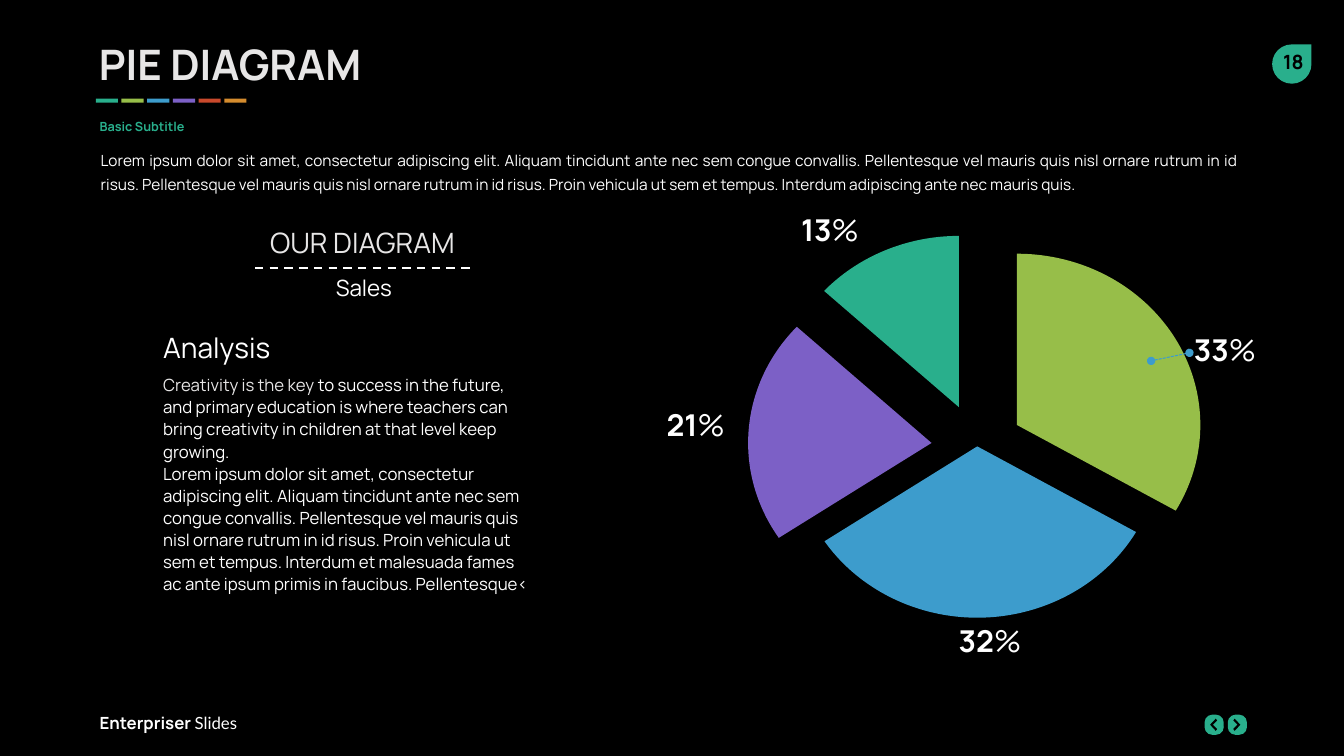
from pptx import Presentation
from pptx.chart.data import CategoryChartData
from pptx.dml.color import RGBColor
from pptx.enum.chart import XL_CHART_TYPE
from pptx.enum.dml import MSO_LINE
from pptx.enum.shapes import MSO_CONNECTOR, MSO_SHAPE
from pptx.enum.text import MSO_ANCHOR, MSO_AUTO_SIZE, PP_ALIGN
from pptx.oxml import parse_xml
from pptx.oxml.ns import nsdecls, qn
from pptx.oxml.xmlchemy import OxmlElement
from pptx.util import Inches, Pt

CELL = Inches(0.1)
WIDE, HIGH = 133.33, 75
FONT = "Manrope"
WHITE, PALE, BLACK = "FFFFFF", "E7E6E6", "000000"
TEAL, LIME, BLUE, PLUM, RUST, GOLD = (
    "29AF8C", "97BE49", "3D9CCC", "7C60C6", "C9492C", "D58C2E")


def tint(code):
    return RGBColor.from_string(code)


def place(box, x, y, w, h):
    return [int(n * CELL) for n in (box[0] + x, box[1] + y, w, h)]


def paint(shape, code):
    shape.shadow.inherit = False
    shape.fill.solid()
    shape.fill.fore_color.rgb = tint(code)
    shape.line.fill.background()
    return shape


def add_run(para, text, size, code=WHITE, bold=False, font=FONT):
    run = para.add_run()
    run.text = text
    run.font.size = Pt(size)
    run.font.name = font
    run.font.bold = bold
    run.font.color.rgb = tint(code)


def set_text(shape, paras, align=PP_ALIGN.LEFT, lead=1, wrap=True):
    frame = shape.text_frame
    frame.word_wrap = wrap
    frame.auto_size = MSO_AUTO_SIZE.SHAPE_TO_FIT_TEXT
    frame.vertical_anchor = MSO_ANCHOR.TOP
    for i, runs in enumerate(paras):
        para = frame.add_paragraph() if i else frame.paragraphs[0]
        para.alignment = align
        para.line_spacing = lead
        for run in runs:
            add_run(para, *run)
    return frame


def add_text(slide, spot, paras, **look):
    return set_text(slide.shapes.add_textbox(*spot), paras, **look)


def add_line(slide, box, start, end, code, width, dash):
    ends = place(box, *start, 0, 0)[:2] + place(box, *end, 0, 0)[:2]
    line = slide.shapes.add_connector(MSO_CONNECTOR.STRAIGHT, *ends)
    line.line.color.rgb = tint(code)
    line.line.width = Pt(width)
    line.line.dash_style = dash
    line._element.spPr.append(OxmlElement("a:effectLst"))
    return line


def draw_head(slide, box):
    title = slide.shapes.title
    title.left, title.top, title.width, title.height = place(box, 0, 0, 49, 6.1)
    set_text(title, [[("PIE DIAGRAM", 30, PALE, True)]])
    for i, code in enumerate((TEAL, LIME, BLUE, PLUM, RUST, GOLD)):
        spot = place(box, 0.7 + 2.55 * i, 6.5, 2.2, 0.4)
        paint(slide.shapes.add_shape(MSO_SHAPE.RECTANGLE, *spot), code)
    add_text(slide, place(box, 0.1, 8, 41.5, 2.5),
             [[("Basic Subtitle", 9, TEAL, True)]])
    add_text(slide, place(box, 0.2, 10.6, 114.9, 5.8), [[(
        "Lorem ipsum dolor sit amet, consectetur adipiscing elit. Aliquam "
        "tincidunt ante nec sem congue convallis. Pellentesque vel mauris quis "
        "nisl ornare rutrum in id risus. Pellentesque vel mauris quis nisl "
        "ornare rutrum in id risus. Proin vehicula ut sem et tempus. Interdum "
        "adipiscing ante nec mauris quis.", 11)]],
        align=PP_ALIGN.JUSTIFY, lead=1.3)


def draw_badge(slide, box):
    drop = slide.shapes.add_shape(MSO_SHAPE.TEAR, *place(box, 0.3, 0, 3.9, 3.9))
    paint(drop, TEAL)
    add_text(slide, place(box, 0, 0.1, 4.8, 3.4), [[("18", 14, BLACK, True)]],
             align=PP_ALIGN.CENTER, wrap=False)


def draw_story(slide, box):
    add_text(slide, place(box, 0, 0, 41.5, 4.4),
             [[("OUR DIAGRAM", 20, PALE)]], align=PP_ALIGN.CENTER)
    add_line(slide, box, (10.1, 4.7), (31.8, 4.7), WHITE, 1.5, MSO_LINE.DASH)
    add_text(slide, place(box, 0.7, 4.8, 40.4, 3.7),
             [[("Sales", 16)]], align=PP_ALIGN.CENTER)
    add_text(slide, place(box, 0, 10.4, 41.5, 4.4), [[("Analysis", 20)]])
    add_text(slide, place(box, 0, 14.6, 38.8, 21), [
        [("Creativity is the key ", 12, PALE),
         ("to success in the future, and primary education is where teachers "
          "can bring creativity in children at that level keep growing.", 12)],
        [("Lorem ipsum dolor sit amet, consectetur adipiscing elit. Aliquam "
          "tincidunt ante nec sem congue convallis. Pellentesque vel mauris "
          "quis nisl ornare rutrum in id risus. Proin vehicula ut sem et "
          "tempus. Interdum et malesuada fames ac ante ipsum primis in "
          "faucibus. Pellentesque‹", 12)]], lead=1.1)


def burst(plot, depth):
    for point in plot.series[0]._element.findall(qn("c:dPt")):
        gap = OxmlElement("c:explosion")
        gap.set("val", str(depth[int(point.find(qn("c:idx")).get("val"))]))
        point.find(qn("c:spPr")).addprevious(gap)


def set_area(chart, share):
    rows = "".join(f'<c:{k} val="{v}"/>' for k, v in share.items())
    area = chart._chartSpace.chart.plotArea
    for old in area.findall(qn("c:layout")):
        area.remove(old)
    area.insert(0, parse_xml(
        f'<c:layout {nsdecls("c")}><c:manualLayout><c:layoutTarget val="inner"/>'
        f'<c:xMode val="edge"/><c:yMode val="edge"/>{rows}'
        '</c:manualLayout></c:layout>'))


def draw_pie(slide, box):
    values = (33, 32, 21, 13)
    data = CategoryChartData()
    data.categories = ["1", "2", "3", "4"]
    data.add_series("Series 1", values)
    spot = place(box, 0, 0, *box[2:])
    chart = slide.shapes.add_chart(XL_CHART_TYPE.PIE, *spot, data).chart
    chart.has_legend = chart.has_title = False
    chart.font.size = Pt(18)
    chart.font.name = "Calibri"
    chart.font.color.rgb = tint(WHITE)
    plot = chart.plots[0]
    plot.vary_by_categories = False
    for i, code in enumerate((LIME, BLUE, PLUM, TEAL)):
        look = plot.series[0].points[i].format
        look.fill.solid()
        look.fill.fore_color.rgb = tint(code)
        look.line.fill.background()
    burst(plot, (25, 0, 25, 25))
    set_area(chart, {"x": 0.19, "y": 0.035, "w": 0.62, "h": 0.93})

    lead = add_line(slide, box, (50.4, 11.6), (46.6, 12.4), BLUE, 0.75,
                    MSO_LINE.SQUARE_DOT)
    stroke = lead.line._get_or_add_ln()
    for end in ("a:headEnd", "a:tailEnd"):
        tip = OxmlElement(end)
        tip.set("type", "oval")
        stroke.append(tip)

    spots = ((48.6, 8.7), (25.3, 37.6), (-4.1, 16.2), (9.2, -3.2))
    for value, (x, y) in zip(values, spots):
        label = add_text(slide, place(box, x, y, 8.4, 5.1),
                         [[(str(value), 21.5, WHITE, True), ("%", 21.5)]],
                         align=PP_ALIGN.RIGHT)
        label.auto_size = MSO_AUTO_SIZE.NONE
        label.vertical_anchor = MSO_ANCHOR.MIDDLE
        label.margin_left = label.margin_right = 0
        label.margin_top = label.margin_bottom = 0
        label.paragraphs[0].space_after = Pt(4)


def draw_foot(slide, box):
    add_text(slide, place(box, 0, 0, 20, 3),
             [[("Enterpriser ", 12, WHITE, True),
               ("Slides", 12, WHITE, False, "Lato")]])
    hook = ((0.8, 0), (1, 0.15), (0.4, 0.5), (1, 0.85), (0.8, 1), (0, 0.5))
    for x, flip in ((110.6, False), (112.9, True)):
        key = slide.shapes.add_shape(MSO_SHAPE.ROUNDED_RECTANGLE,
                                     *place(box, x, 0.7, 1.9, 2))
        key.adjustments[0] = 0.4
        paint(key, TEAL)
        left, top, wide, high = place(box, x + 0.55, 1.1, 0.7, 1.2)
        dots = [(left + (1 - a if flip else a) * wide, top + b * high)
                for a, b in hook]
        path = slide.shapes.build_freeform(*dots[0])
        path.add_line_segments(dots[1:])
        paint(path.convert_to_shape(), BLACK)


def main():
    deck = Presentation()
    deck.slide_width, deck.slide_height = int(WIDE * CELL), HIGH * CELL
    slide = deck.slides.add_slide(deck.slide_layouts[5])
    slide.background.fill.solid()
    slide.background.fill.fore_color.rgb = tint(BLACK)
    draw_foot(slide, (8.9, 70.2, 115, 3))
    draw_badge(slide, (125.9, 4.4, 4.8, 3.9))
    draw_pie(slide, (67.6, 23.4, 58.7, 39.2))
    draw_head(slide, (8.8, 3.3, 115, 16.4))
    draw_story(slide, (15.2, 21.9, 41.5, 35.6))
    deck.save("out.pptx")


if __name__ == "__main__":
    main()
